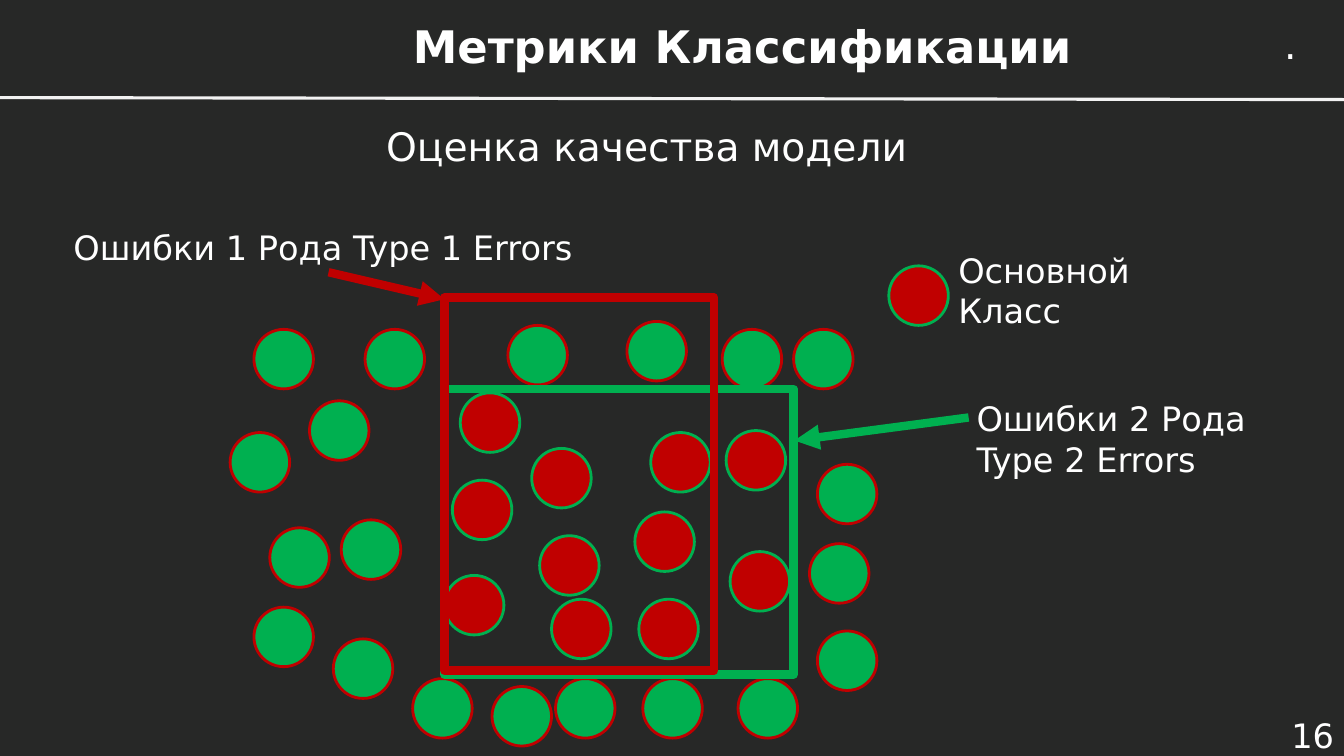
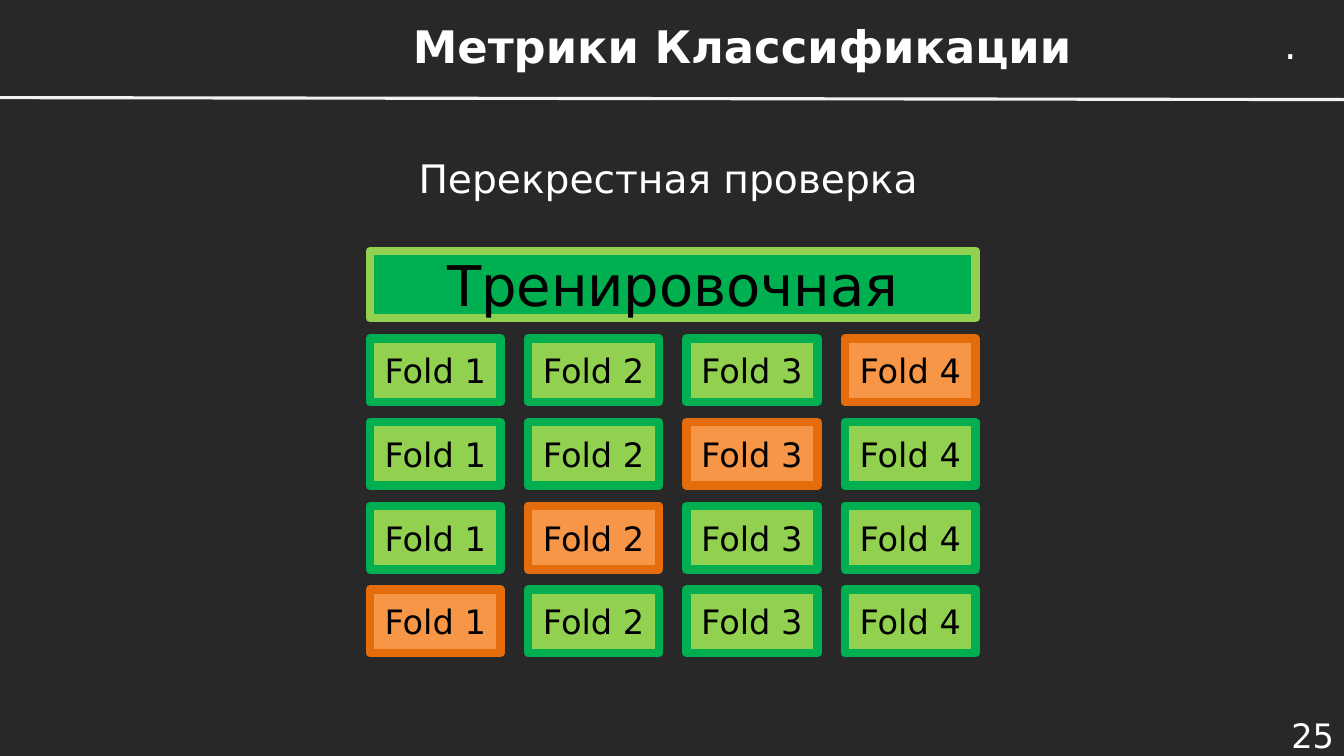
from lxml import etree
from pptx import Presentation
from pptx.dml.color import RGBColor
from pptx.enum.shapes import MSO_CONNECTOR, MSO_SHAPE
from pptx.enum.text import MSO_ANCHOR, PP_ALIGN
from pptx.oxml.ns import qn
from pptx.util import Cm, Pt

STRAIGHT = MSO_CONNECTOR.STRAIGHT
RECTANGLE, OVAL = MSO_SHAPE.RECTANGLE, MSO_SHAPE.OVAL
TOP, MIDDLE = MSO_ANCHOR.TOP, MSO_ANCHOR.MIDDLE
LEFT, CENTER, RIGHT = PP_ALIGN.LEFT, PP_ALIGN.CENTER, PP_ALIGN.RIGHT

FONT = "DejaVu Sans"
COLORS = {
    "background": "272827",
    "white": "FFFFFF",
    "rule": "F2F2F2",
    "black": "000000",
    "green": "00B050",
    "red": "C00000",
    "lime": "92D050",
    "orange": "F79646",
    "dark orange": "E46C0A",
}
PAGE_WIDTH, PAGE_HEIGHT = 33.87, 19.05
THICK = 6
DOT_SIZE = 1.5

OTHER_CLASS_DOTS = [
    (6.4, 8.3), (9.2, 8.3), (12.8, 8.2), (15.8, 8.1), (18.2, 8.3),
    (20, 8.3), (7.8, 10.1), (5.8, 10.9), (8.6, 13.1), (6.8, 13.3),
    (6.4, 15.3), (8.4, 16.1), (10.4, 17.1), (12.4, 17.3), (14, 17.1),
    (16.2, 17.1), (18.6, 17.1), (20.6, 11.7), (20.4, 13.7), (20.6, 15.9),
]
MAIN_CLASS_DOTS = [
    (11.6, 9.9), (13.4, 11.3), (16.4, 10.9), (18.3, 10.85), (11.4, 12.1),
    (16, 12.9), (13.6, 13.5), (18.4, 13.9), (11.2, 14.5), (13.9, 15.1),
    (16.1, 15.1),
]
LEGEND_DOT = (22.4, 6.7)

FOLDS = 4
GRID_LEFT, GRID_TOP = 9.32, 8.53
FOLD_WIDTH, FOLD_HEIGHT = 3.3, 1.6
COLUMN_STEP, ROW_STEP = 3.99, 2.11


def color(name):
    return RGBColor.from_string(COLORS[name])


class Slides:
    """Holds the deck, its style and the current page; lengths are in cm."""

    def __init__(self):
        self.deck = Presentation()
        self.deck.slide_width = Cm(PAGE_WIDTH)
        self.deck.slide_height = Cm(PAGE_HEIGHT)
        fill = self.deck.slide_master.background.fill
        fill.solid()
        fill.fore_color.rgb = color("background")
        self.page = None

    def new_page(self, number):
        """Start a page with the shared title, rule, dot and page number."""
        self.page = self.deck.slides.add_slide(self.deck.slide_layouts[6])
        self.text((31.2, 17.98, 2.67, 1.07), [str(number)],
                  align=RIGHT, anchor=MIDDLE)
        self.text((8.74, 0.48, 19.94, 1.35), ["Метрики Классификации"],
                  size=32, bold=True, align=CENTER, anchor=MIDDLE)
        self.line((0, 2.46), (PAGE_WIDTH, 2.51), "rule", 2.25)
        self.text((32.11, 0.38, 0.86, 1.45), ["."], size=28)

    def subtitle(self, place, wording):
        self.text(place, [wording], size=28, align=CENTER, anchor=MIDDLE)

    def fill_frame(self, frame, lines, size, ink, bold, align, anchor):
        """Fill a text frame, one paragraph per line."""
        frame.word_wrap = True
        frame.vertical_anchor = anchor
        for index, wording in enumerate(lines):
            para = frame.add_paragraph() if index else frame.paragraphs[0]
            para.alignment = align
            span = para.add_run()
            span.text = wording
            span.font.name = FONT
            span.font.size = Pt(size)
            span.font.bold = bold
            span.font.color.rgb = color(ink)

    def text(self, place, lines, size=24, bold=False, align=LEFT, anchor=TOP):
        box = self.page.shapes.add_textbox(*map(Cm, place))
        self.fill_frame(box.text_frame, lines, size, "white", bold, align,
                        anchor)

    def shape(self, kind, place, fill, outline, width=THICK, label=None,
              size=24):
        shape = self.page.shapes.add_shape(kind, *map(Cm, place))
        shape.shadow.inherit = False
        if fill:
            shape.fill.solid()
            shape.fill.fore_color.rgb = color(fill)
        else:
            shape.fill.background()
        shape.line.color.rgb = color(outline)
        shape.line.width = Pt(width)
        if label:
            self.fill_frame(shape.text_frame, [label], size, "black", False,
                            CENTER, MIDDLE)

    def dot(self, position, fill, outline):
        self.shape(OVAL, (*position, DOT_SIZE, DOT_SIZE), fill, outline, 2)

    def line(self, start, end, ink, width, arrow=False):
        connector = self.page.shapes.add_connector(
            STRAIGHT, *map(Cm, (*start, *end)))
        connector.line.color.rgb = color(ink)
        connector.line.width = Pt(width)
        properties = connector.element.spPr
        if arrow:
            etree.SubElement(properties.find(qn("a:ln")), qn("a:tailEnd"),
                             type="triangle")
        etree.SubElement(properties, qn("a:effectLst"))


def build_error_types(slides):
    slides.new_page(16)
    slides.subtitle((7.14, 2.51, 18.31, 2.31), "Оценка качества модели")
    for position in OTHER_CLASS_DOTS:
        slides.dot(position, "green", "red")
    for position in MAIN_CLASS_DOTS + [LEGEND_DOT]:
        slides.dot(position, "red", "green")
    slides.text((23.9, 6.17, 7.67, 2.31), ["Основной", "Класс"])
    slides.text((24.36, 9.91, 7.59, 2.31), ["Ошибки 2 Рода", "Type 2 Errors"])
    slides.text((1.6, 5.59, 13.34, 1.27), ["Ошибки 1 Рода Type 1 Errors"])
    slides.line((24.41, 10.52), (20.02, 11.1), "green", THICK, arrow=True)
    slides.line((8.28, 6.86), (11.2, 7.54), "red", THICK, arrow=True)
    slides.shape(RECTANGLE, (11.2, 9.8, 8.8, 7.2), None, "green")
    slides.shape(RECTANGLE, (11.2, 7.5, 6.8, 9.4), None, "red")


def build_cross_validation(slides):
    slides.new_page(25)
    slides.subtitle((5.94, 3.33, 21.79, 2.31), "Перекрестная проверка")
    grid_width = (FOLDS - 1) * COLUMN_STEP + FOLD_WIDTH
    slides.shape(RECTANGLE, (GRID_LEFT, 6.32, grid_width, 1.7),
                 "green", "lime", label="Тренировочная", size=40)
    for row in range(FOLDS):
        for column in range(FOLDS):
            held_out = row + column == FOLDS - 1
            fill, outline = (("orange", "dark orange") if held_out
                             else ("lime", "green"))
            place = (GRID_LEFT + column * COLUMN_STEP,
                     GRID_TOP + row * ROW_STEP, FOLD_WIDTH, FOLD_HEIGHT)
            slides.shape(RECTANGLE, place, fill, outline,
                         label=f"Fold {column + 1}")


def main():
    slides = Slides()
    build_error_types(slides)
    build_cross_validation(slides)
    slides.deck.save("out.pptx")


if __name__ == "__main__":
    main()
